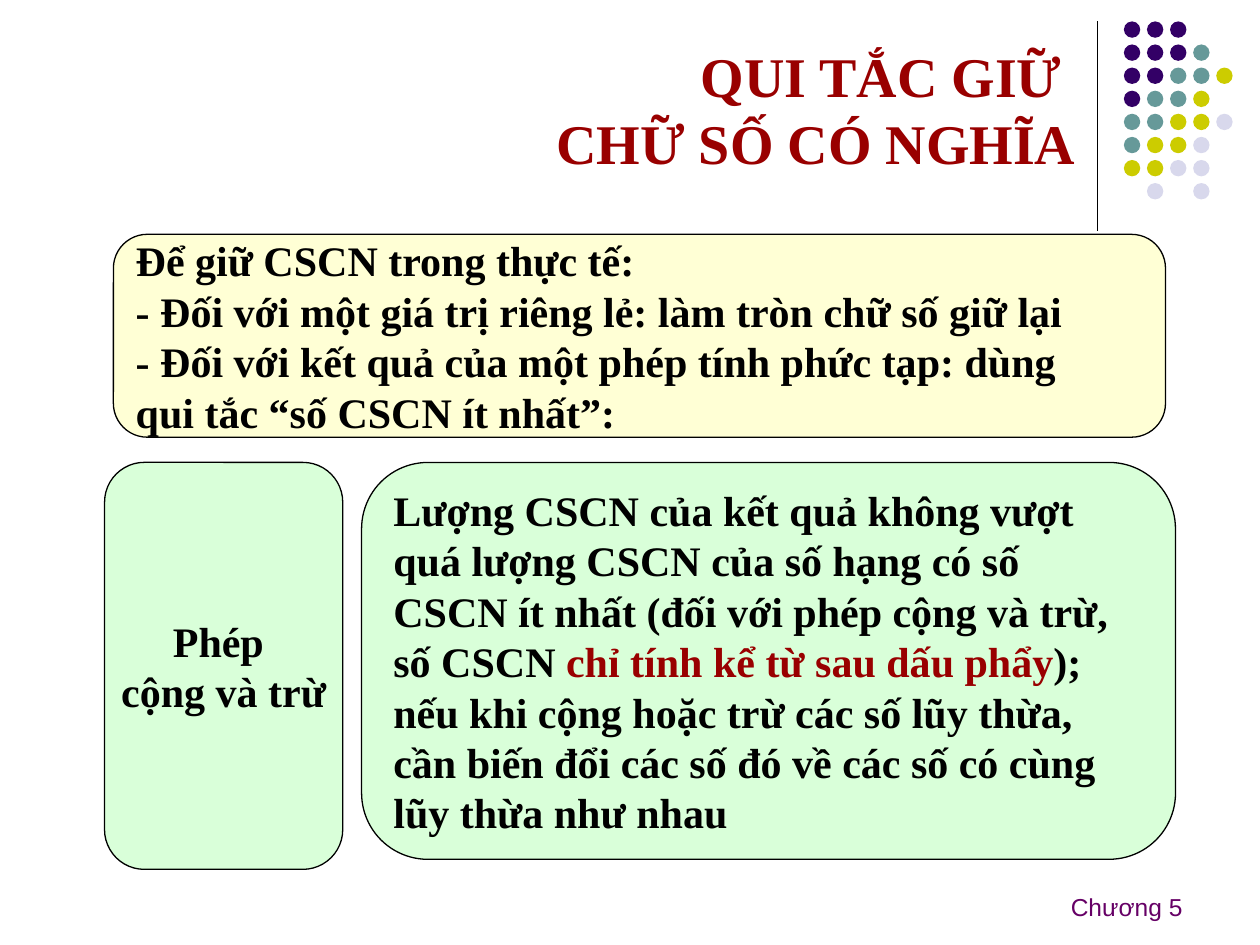
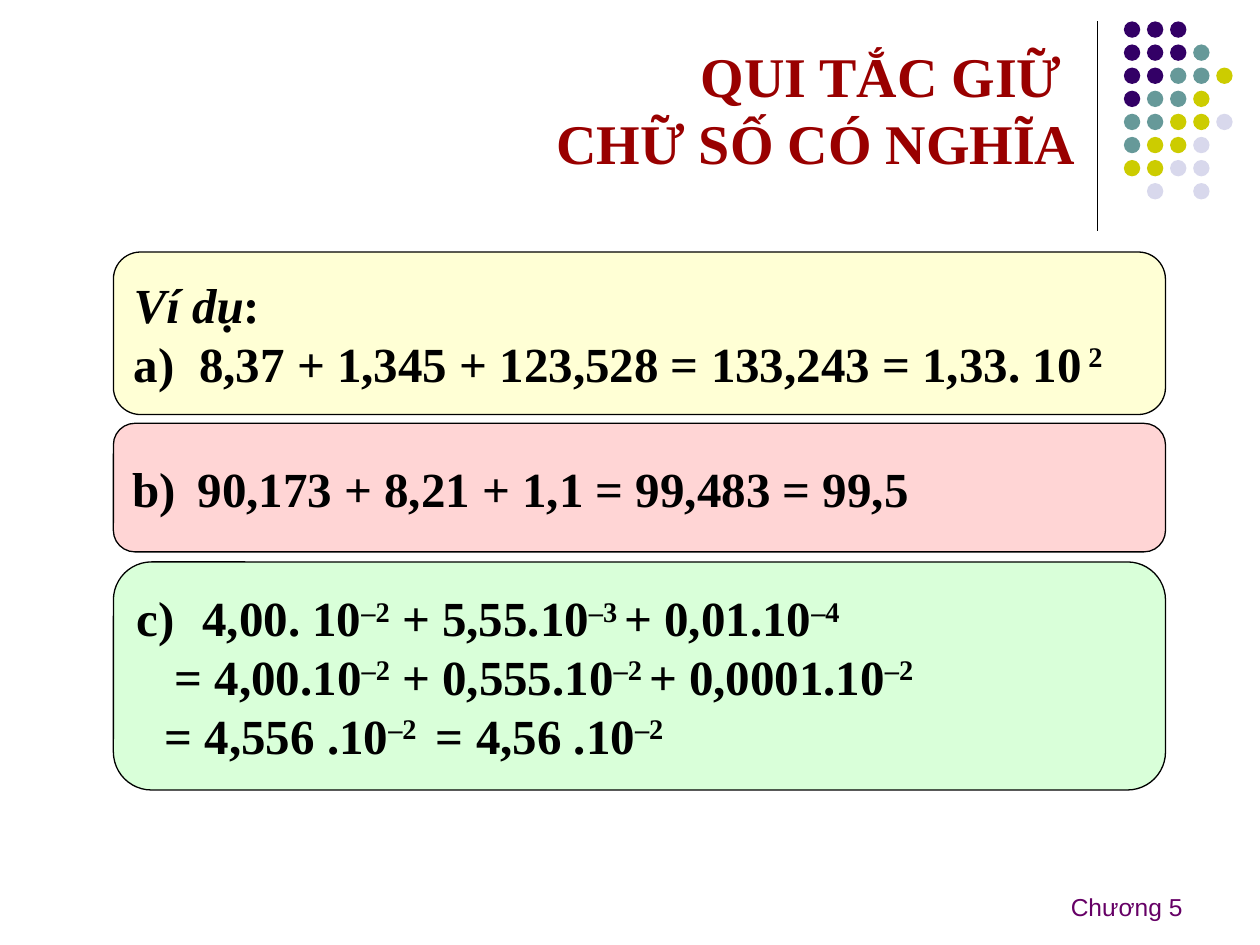
"""Build two slides on the rules for keeping significant digits."""
import lxml.etree
import pptx
import pptx.dml.color
import pptx.enum.shapes
import pptx.enum.text
import pptx.oxml.ns
import pptx.util

Inches = pptx.util.Inches
Pt = pptx.util.Pt
ALIGN = pptx.enum.text.PP_ALIGN
ANCHOR = pptx.enum.text.MSO_ANCHOR
SHAPE = pptx.enum.shapes.MSO_SHAPE
qn = pptx.oxml.ns.qn

SERIF, SANS = "Times New Roman", "Arial"
BLACK, RED, PURPLE = "000000", "990000", "660066"
YELLOW, PINK, GREEN = "FFFFD5", "FFD5D5", "D9FFD9"
DOT_COLORS = {"P": "330066", "T": "669999", "Y": "CCCC00", "L": "D8D8EC"}
DOT_ROWS = ["PPP", "PPPT", "PPTTY", "PTTY", "TTYYL", "TYYL", "YYLL", " L L"]
DOT_SIZE, DOT_PITCH = 0.13, 0.55 / 3
TITLE = ["QUI TẮC GIỮ ", "CHỮ SỐ CÓ NGHĨA"]
LABEL_INDENT = 0.52


def rgb(color):
    return pptx.dml.color.RGBColor.from_string(color)


def add_run(p, text, size, color=BLACK, font=SERIF, bold=True, style=""):
    r = p.add_run()
    r.text = text
    r.font.name = font
    r.font.size = Pt(size)
    r.font.bold = bold
    r.font.italic = style == "italic"
    r.font.color.rgb = rgb(RED if style == "red" else color)
    if style == "sup":
        r._r.get_or_add_rPr().set("baseline", "30000")


def set_indent(p, left, first=0):
    pPr = p._p.get_or_add_pPr()
    pPr.set("marL", str(Inches(left)))
    pPr.set("indent", str(Inches(first)))


def add_lines(tf, lines, size, align=ALIGN.LEFT, color=BLACK):
    """Write each line, a string or a list of (text, style), as a paragraph."""
    for i, line in enumerate(lines):
        p = tf.add_paragraph() if i else tf.paragraphs[0]
        p.alignment = align
        runs = [(line, "")] if isinstance(line, str) else line
        for text, style in runs:
            add_run(p, text, size, color, style=style)
        if "\t" in runs[0][0]:
            set_indent(p, LABEL_INDENT, -LABEL_INDENT)


def add_box(s, left, top, width, height, fill, lines, size,
            align=ALIGN.LEFT, wrap=True):
    sp = s.shapes.add_shape(SHAPE.ROUNDED_RECTANGLE, Inches(left), Inches(top),
                            Inches(width), Inches(height))
    sp.shadow.inherit = False
    sp.adjustments[0] = 0.167
    sp.fill.solid()
    sp.fill.fore_color.rgb = rgb(fill)
    sp.line.color.rgb = rgb(BLACK)
    sp.line.width = Pt(0.75)
    tf = sp.text_frame
    tf.word_wrap = wrap
    tf.vertical_anchor = ANCHOR.MIDDLE
    add_lines(tf, lines, size, align)
    return sp


def add_rule(s):
    line = s.shapes.add_connector(pptx.enum.shapes.MSO_CONNECTOR.STRAIGHT,
                                  Inches(8.71), Inches(0.17),
                                  Inches(8.71), Inches(1.83))
    line.line.color.rgb = rgb(BLACK)
    line.line.width = Pt(0.75)
    spPr = line.element.find(qn("p:spPr"))
    lxml.etree.SubElement(spPr, qn("a:effectLst"))
    return line


def add_dots(s):
    group = s.shapes.add_group_shape()
    for row, keys in enumerate(DOT_ROWS):
        for col, key in enumerate(keys):
            if key == " ":
                continue
            dot = group.shapes.add_shape(
                SHAPE.OVAL, Inches(8.92 + col * DOT_PITCH),
                Inches(0.17 + row * DOT_PITCH), Inches(DOT_SIZE), Inches(DOT_SIZE))
            dot.shadow.inherit = False
            dot.fill.solid()
            dot.fill.fore_color.rgb = rgb(DOT_COLORS[key])
            dot.line.fill.background()
    return group


def add_footer(s):
    sp = s.shapes.add_textbox(Inches(8.4), Inches(7.03), Inches(1.09), Inches(0.34))
    sp.text_frame.word_wrap = False
    add_run(sp.text_frame.paragraphs[0], "Chương 5", 14, PURPLE, SANS, bold=False)
    return sp


def build_layout(layout, s):
    """Place the title and move the shared decoration from slide to layout."""
    title = next(ph for ph in layout.placeholders if ph.placeholder_format.idx == 0)
    title.left, title.top = Inches(1.61), Inches(0.28)
    title.width, title.height = Inches(7.03), Inches(1.17)
    tree = layout.shapes.element
    for sp in [add_rule(s), add_dots(s), add_footer(s)]:
        tree.append(sp.element)
    for i, props in enumerate(tree.iter(qn("p:cNvPr")), start=1):
        props.set("id", str(i))


def add_title(s):
    tf = s.shapes.title.text_frame
    tf.word_wrap = True
    tf.auto_size = pptx.enum.text.MSO_AUTO_SIZE.NONE
    tf.vertical_anchor = ANCHOR.MIDDLE
    add_lines(tf, TITLE, 32, ALIGN.RIGHT, RED)


def build_rules(s):
    add_title(s)
    add_box(s, 0.9, 1.86, 8.35, 1.61, YELLOW, [
        "Để giữ CSCN trong thực tế: ",
        "- Đối với một giá trị riêng lẻ: làm tròn chữ số giữ lại",
        "- Đối với kết quả của một phép tính phức tạp: dùng ",
        "qui tắc “số CSCN ít nhất”:",
    ], 24, ALIGN.JUSTIFY)
    add_box(s, 0.83, 3.67, 1.89, 3.23, GREEN, ["Phép ", "cộng và trừ"], 24,
            ALIGN.CENTER, wrap=False)
    add_box(s, 2.87, 3.67, 6.46, 3.15, GREEN, [
        "Lượng CSCN của kết quả không vượt",
        "quá lượng CSCN của số hạng có số",
        "CSCN ít nhất (đối với phép cộng và trừ,",
        [("số CSCN ", ""), ("chỉ tính kể từ sau dấu phẩy", "red"), (");", "")],
        "nếu khi cộng hoặc trừ các số lũy thừa,",
        "cần biến đổi các số đó về các số có cùng",
        "lũy thừa như nhau",
    ], 24)


def build_examples(s):
    add_title(s)
    add_box(s, 0.9, 2, 8.35, 1.29, YELLOW, [
        [("Ví dụ", "italic"), (":", "")],
        [("a)\t8,37 + 1,345 + 123,528 = 133,243 = 1,33. 10", ""), (" 2", "sup")],
    ], 28)
    add_box(s, 0.9, 3.36, 8.35, 1.02, PINK,
            ["b)\t90,173 + 8,21 + 1,1 = 99,483 = 99,5"], 28)
    sp = add_box(s, 0.9, 4.46, 8.35, 1.81, GREEN, [
        [("c)\t4,00. 10", ""), ("–2", "sup"), (" + 5,55.10", ""),
         ("–3 ", "sup"), ("+ 0,01.10", ""), ("–4", "sup")],
        [("= 4,00.10", ""), ("–2", "sup"), (" + 0,555.10", ""),
         ("–2 ", "sup"), ("+ 0,0001.10", ""), ("–2", "sup")],
        [("= 4,556 .10", ""), ("–2 ", "sup"), (" = 4,56 .10", ""), ("–2", "sup")],
    ], 28)
    for p, left in zip(sp.text_frame.paragraphs[1:], [0.3, 0.22]):
        set_indent(p, left)


def main():
    prs = pptx.Presentation()
    prs.slide_width, prs.slide_height = Inches(10), Inches(7.5)
    layout = prs.slide_layouts[5]
    rules, examples = [prs.slides.add_slide(layout) for _ in range(2)]
    build_layout(layout, rules)
    build_rules(rules)
    build_examples(examples)
    prs.save("out.pptx")


if __name__ == "__main__":
    main()
